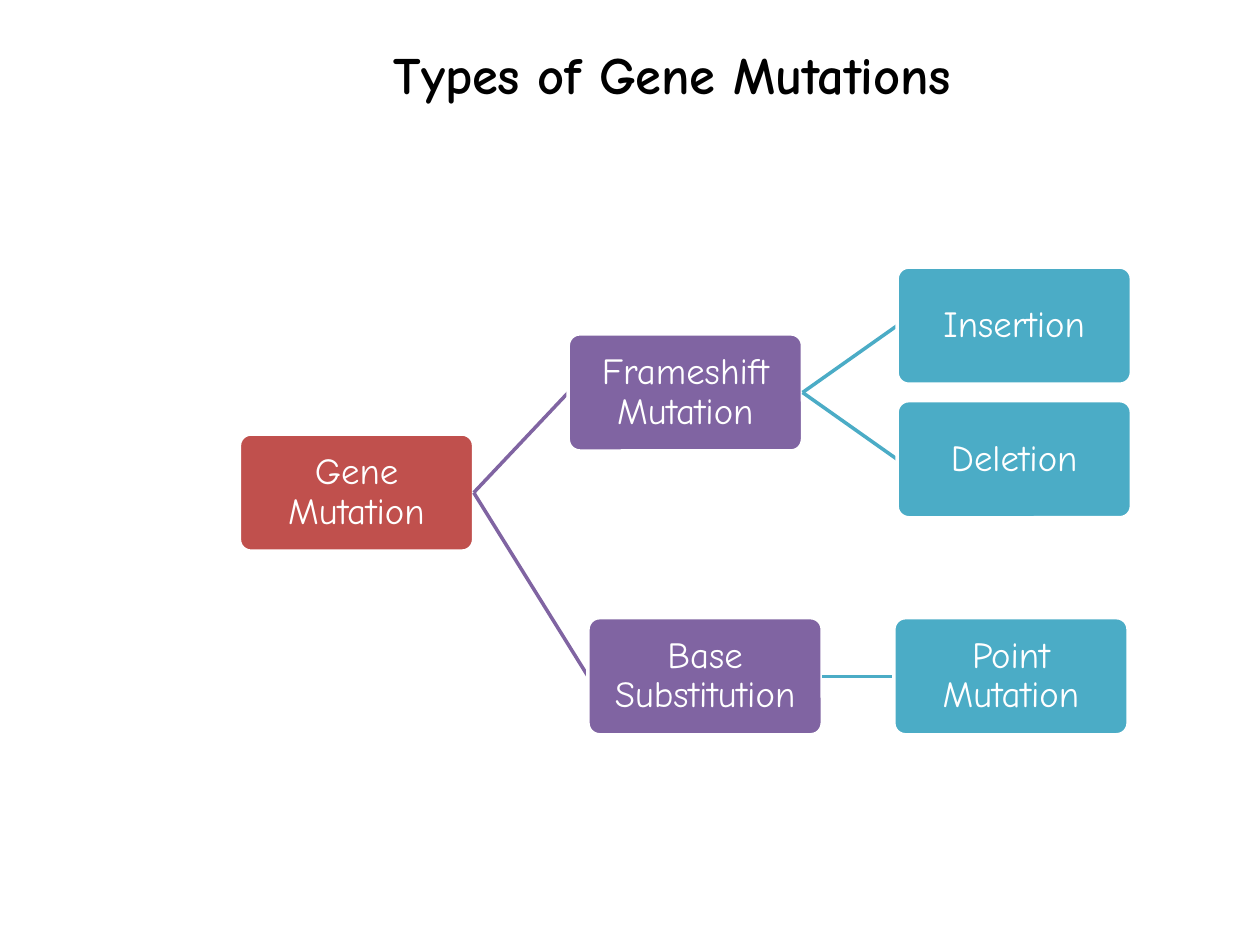
from lxml.etree import SubElement
from pptx import Presentation
from pptx.dml.color import RGBColor
from pptx.enum.shapes import MSO_CONNECTOR as Link, MSO_SHAPE as Preset
from pptx.enum.text import MSO_ANCHOR as Anchor, PP_ALIGN as Align
from pptx.oxml.ns import qn
from pptx.util import Inches, Pt

FONT = "Comic Neue"
COLORS = {
    "black": "000000",
    "white": "FFFFFF",
    "root": "C0504D",
    "class": "8064A2",
    "type": "4BACC6",
}
RGB = {role: RGBColor.from_string(code) for role, code in COLORS.items()}

deck = Presentation()
deck.slide_width, deck.slide_height = Inches(10), Inches(7.5)
slide = deck.slides.add_slide(deck.slide_layouts[6])


def set_text_frame(frame, margin, size, color, bold=False):
    frame.word_wrap = True
    frame.margin_left = frame.margin_right = Inches(margin)
    frame.margin_top = frame.margin_bottom = Inches(margin)
    paragraph = frame.paragraphs[0]
    paragraph.alignment = Align.CENTER
    paragraph.font.name = FONT
    paragraph.font.size = Pt(size)
    paragraph.font.bold = bold
    paragraph.font.color.rgb = RGB[color]
    return paragraph


title = slide.shapes.add_textbox(Inches(1.92), Inches(0.33), Inches(6.83), Inches(0.5))
heading = set_text_frame(title.text_frame, 0, 30, "black", bold=True)
for letters, spacing in (("T", -140), ("ypes of Gene Mutations", -20)):
    run = heading.add_run()
    run.text = letters
    run.font._element.set("spc", str(spacing))

BOX_W, BOX_H = Inches(1.86), Inches(0.93)
COLUMN_LEFT, COLUMN_STEP = 1.9, 2.61
ROW_TOP, ROW_STEP = 2.12, 0.53

TREE = [
    ("Gene Mutation", None, "root", 0, 2.5),
    ("Frameshift Mutation", "Gene Mutation", "class", 1, 1),
    ("Insertion", "Frameshift Mutation", "type", 2, 0),
    ("Deletion", "Frameshift Mutation", "type", 2, 2),
    ("Base Substitution", "Gene Mutation", "class", 1.06, 5.25),
    ("Point Mutation", "Base Substitution", "type", 1.99, 5.25),
]

boxes = {}
for label, parent, level, column, row in TREE:
    box = slide.shapes.add_shape(
        Preset.ROUNDED_RECTANGLE,
        Inches(COLUMN_LEFT + column * COLUMN_STEP),
        Inches(ROW_TOP + row * ROW_STEP),
        BOX_W,
        BOX_H,
    )
    box.adjustments[0] = 0.1
    box.shadow.inherit = False
    box.fill.solid()
    box.fill.fore_color.rgb = RGB[level]
    box.line.color.rgb = RGB["white"]
    box.line.width = Pt(2)
    box.text_frame.vertical_anchor = Anchor.MIDDLE
    name = set_text_frame(box.text_frame, 0.03, 21, "white")
    name.line_spacing = 0.9
    name.add_run().text = label
    boxes[label] = box

    if parent:
        branch = slide.shapes.add_connector(Link.STRAIGHT, 0, 0, 0, 0)
        branch.begin_connect(boxes[parent], 3)
        branch.end_connect(box, 1)
        branch.line.color.rgb = RGB[level]
        branch.line.width = Pt(2)
        SubElement(branch.element.spPr, qn("a:effectLst"))
        box.element.addprevious(branch.element)

deck.save("out.pptx")
